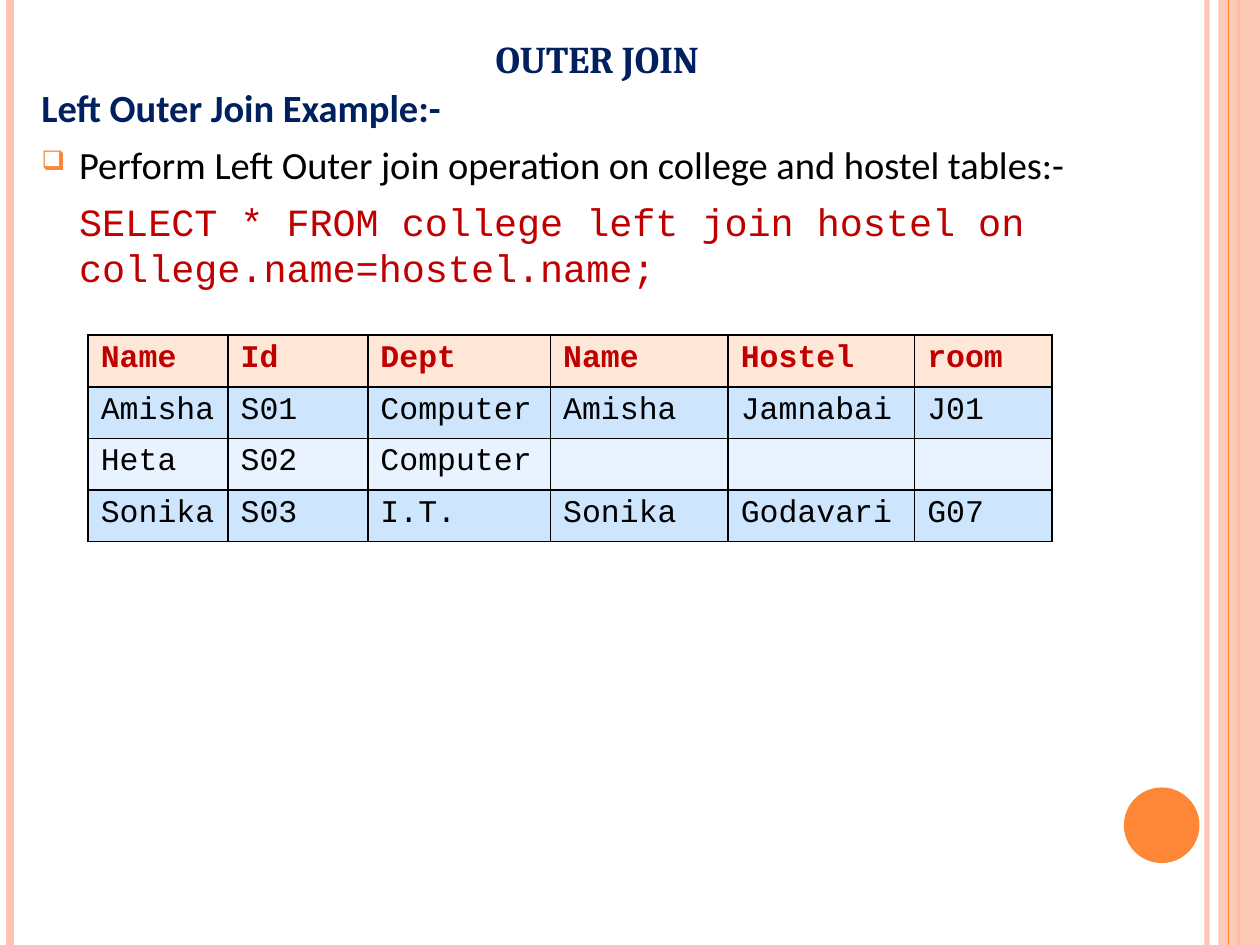
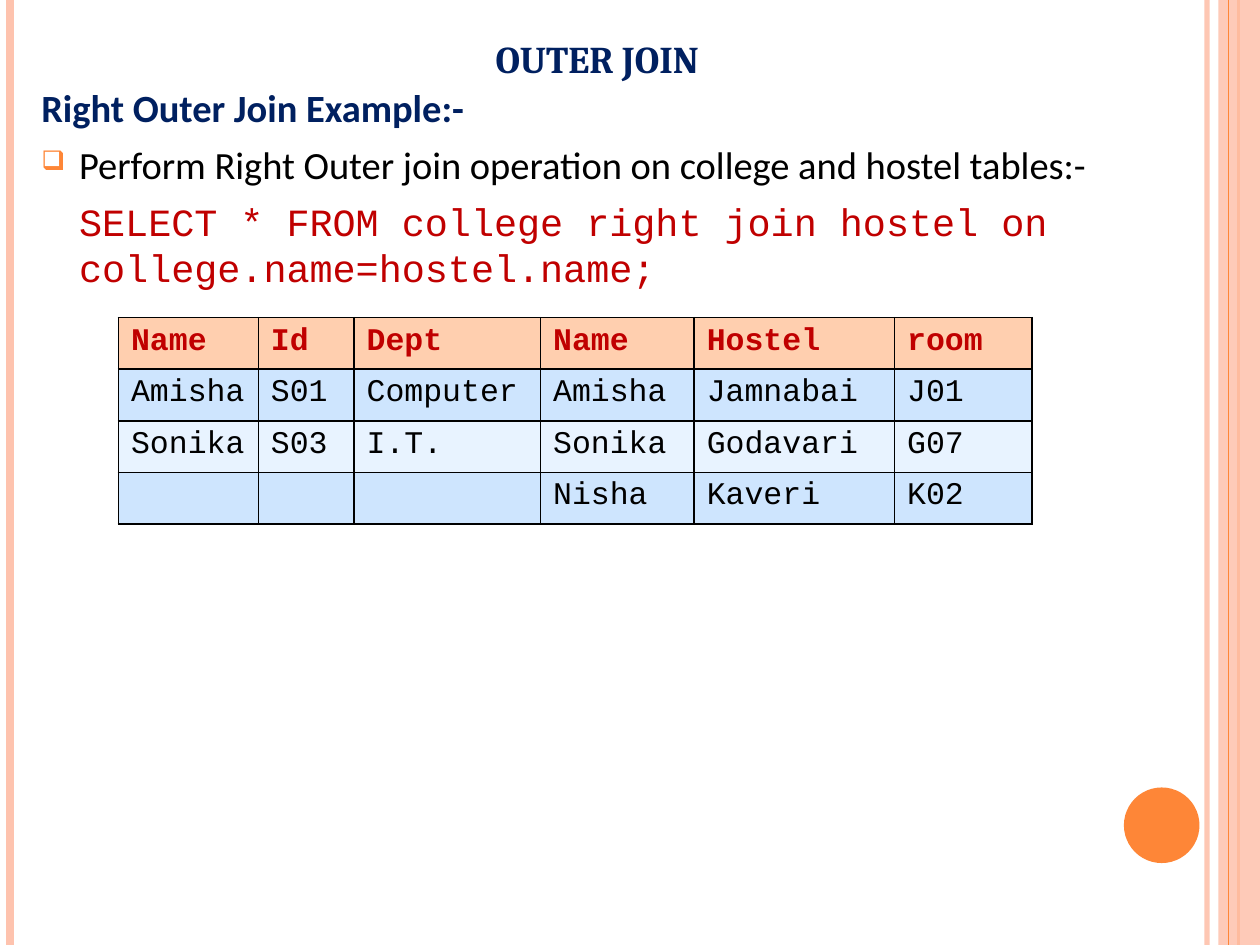
from lxml import etree
from pptx import Presentation
from pptx import util as u
from pptx.dml.color import RGBColor
from pptx.enum import shapes, text
from pptx.oxml.ns import qn

COLORS = {
    "navy": "002060", "red": "C00000", "black": "000000",
    "peach": "FEC3AE", "orange": "FE8637",
    "head_light": "FFE7D7", "head_dark": "FFCFAF",
    "band_dark": "CEE5FE", "band_light": "E8F3FF",
}
HEADERS = ["Name", "Id", "Dept", "Name", "Hostel", "room"]
ROW_H = 0.41


def rgb(name):
    return RGBColor.from_string(COLORS[name])


def sub(parent, tag, **attrs):
    return etree.SubElement(parent, qn(tag), attrs)


def set_alpha(fill_owner, percent):
    clr = next(fill_owner.iter(qn("a:srgbClr")))
    sub(clr, "a:alpha", val=str(percent * 1000))


def style_run(p, font, size, color, bold=False):
    for r in p.runs:
        r.font.name, r.font.size, r.font.bold = font, u.Pt(size), bold
        r.font.color.rgb = rgb(color)


def add_rule(s, x, color, width, alpha=None):
    """Full-height vertical line."""
    c = s.shapes.add_connector(shapes.MSO_CONNECTOR.STRAIGHT,
                               u.Inches(x), 0, u.Inches(x), u.Inches(7.5))
    c.line.color.rgb = rgb(color)
    c.line.width = u.Pt(width)
    if alpha:
        set_alpha(c.line._ln, alpha)
    sub(c._element.spPr, "a:effectLst")


def add_solid(s, kind, box, color, alpha=None):
    sp = s.shapes.add_shape(kind, *map(u.Inches, box))
    sp.shadow.inherit = False
    sp.fill.solid()
    sp.fill.fore_color.rgb = rgb(color)
    sp.line.fill.background()
    if alpha:
        set_alpha(sp._element.spPr, alpha)


def add_frame(s):
    """Side bands and page disc shared by every slide."""
    add_rule(s, 9.58, "peach", 3, 93)
    add_rule(s, 0.08, "peach", 4.5)
    add_rule(s, 9.83, "orange", 1.5)
    add_solid(s, shapes.MSO_SHAPE.RECTANGLE, (9.67, 0, 0.33, 7.5), "peach", 87)
    add_rule(s, 9.75, "orange", 0.75)
    add_solid(s, shapes.MSO_SHAPE.OVAL, (8.92, 6.25, 0.6, 0.6), "orange")


def add_text_box(s, box):
    tf = s.shapes.add_textbox(*map(u.Inches, box)).text_frame
    tf.word_wrap = True
    return tf


def add_title(s, title):
    tf = add_text_box(s, (0.5, 0.16, 8.48, 0.55))
    tf.vertical_anchor = text.MSO_ANCHOR.BOTTOM
    tf.text = title
    p = tf.paragraphs[0]
    p.alignment = text.PP_ALIGN.CENTER
    style_run(p, "Cambria", 27, "navy", True)
    p.runs[0].font._element.set("cap", "small")


def add_bullet(p):
    pPr = p._p.get_or_add_pPr()
    clr = sub(pPr, "a:buClr")
    sub(clr, "a:srgbClr", val=COLORS["orange"])
    sub(pPr, "a:buSzPct", val="70000")
    sub(pPr, "a:buChar", char="❑")


def add_body(s, side):
    """Heading, bulleted task and SQL query for one kind of outer join."""
    tf = add_text_box(s, (0.23, 0.62, 9.3, 6.64))
    lines = [
        (f"{side} Outer Join Example:-", "Calibri", "navy", True, -0.3),
        (f"Perform {side} Outer join operation on college and hostel tables:-",
         "Calibri", "black", False, -0.3),
        (f"SELECT * FROM college {side.lower()} join hostel on "
         "college.name=hostel.name;", "Courier New", "red", False, 0),
    ]
    for i, (line, font, color, bold, indent) in enumerate(lines):
        p = tf.add_paragraph() if i else tf.paragraphs[0]
        p.text = line
        p.space_before = u.Pt(6)
        pPr = p._p.get_or_add_pPr()
        pPr.set("marL", str(u.Inches(0.3)))
        pPr.set("indent", str(u.Inches(indent)))
        style_run(p, font, 22, color, bold)
    add_bullet(tf.paragraphs[1])


def set_borders(cell):
    tcPr = cell._tc.get_or_add_tcPr()
    for i, edge in enumerate(("a:lnL", "a:lnR", "a:lnT", "a:lnB")):
        ln = etree.Element(qn(edge), w=str(u.Pt(1)))
        sub(sub(ln, "a:solidFill"), "a:srgbClr", val=COLORS["black"])
        tcPr.insert(i, ln)


def add_join_table(s, left, top, widths, head_fill, records):
    rows = [HEADERS] + records
    t = s.shapes.add_table(len(rows), len(widths), u.Inches(left), u.Inches(top),
                           u.Inches(sum(widths)), u.Inches(ROW_H * len(rows))).table
    for col, width in zip(t.columns, widths):
        col.width = u.Inches(width)
    for i, row in enumerate(rows):
        t.rows[i].height = u.Inches(ROW_H)
        fill = head_fill if i == 0 else "band_dark" if i % 2 else "band_light"
        for j, value in enumerate(row):
            cell = t.cell(i, j)
            cell.fill.solid()
            cell.fill.fore_color.rgb = rgb(fill)
            set_borders(cell)
            if value:
                cell.text = value
                style_run(cell.text_frame.paragraphs[0], "Courier New", 18,
                          "black" if i else "red", i == 0)


def add_join_slide(prs, side, **table):
    s = prs.slides.add_slide(prs.slide_layouts[6])
    add_frame(s)
    add_title(s, "outer join")
    add_body(s, side)
    add_join_table(s, **table)


def main():
    prs = Presentation()
    prs.slide_width, prs.slide_height = u.Inches(10), u.Inches(7.5)

    amisha = ["Amisha", "S01", "Computer", "Amisha", "Jamnabai", "J01"]
    sonika = ["Sonika", "S03", "I.T.", "Sonika", "Godavari", "G07"]

    # Left join keeps every college row
    add_join_slide(prs, "Left", left=0.7, top=2.66, head_fill="head_light",
                   widths=[1.11, 1.11, 1.45, 1.41, 1.48, 1.09],
                   records=[amisha, ["Heta", "S02", "Computer", "", "", ""], sonika])
    # Right join keeps every hostel row
    add_join_slide(prs, "Right", left=0.94, top=2.52, head_fill="head_dark",
                   widths=[1.11, 0.76, 1.48, 1.22, 1.59, 1.09],
                   records=[amisha, sonika, ["", "", "", "Nisha", "Kaveri", "K02"]])

    prs.save("out.pptx")


if __name__ == "__main__":
    main()
